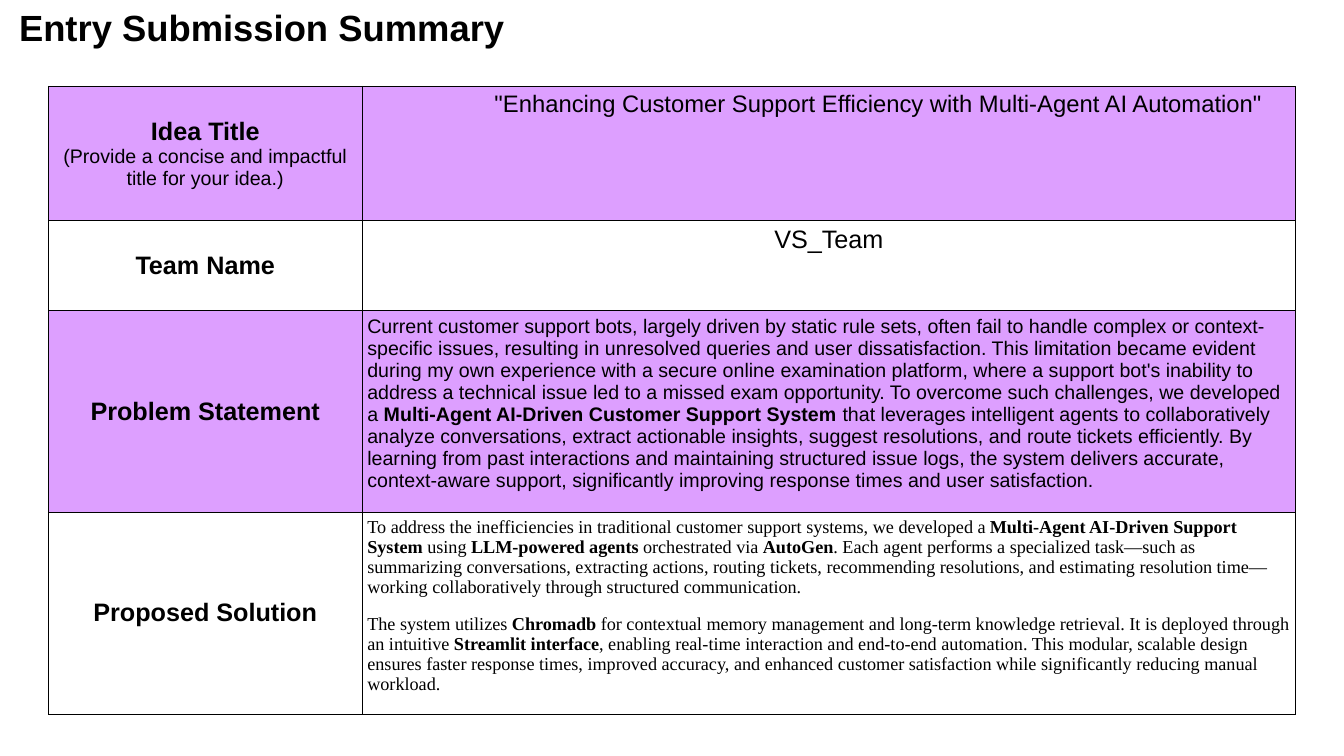
from lxml import etree
from pptx import Presentation
from pptx.dml.color import RGBColor
from pptx.enum.text import MSO_ANCHOR, MSO_AUTO_SIZE, PP_ALIGN
from pptx.oxml.ns import qn
from pptx.util import Cm, Pt

TOP, MIDDLE = MSO_ANCHOR.TOP, MSO_ANCHOR.MIDDLE
LEFT, CENTER = PP_ALIGN.LEFT, PP_ALIGN.CENTER
FIT_SHAPE = MSO_AUTO_SIZE.SHAPE_TO_FIT_TEXT
TITLE_ONLY = 5

COLORS = {"ink": "000000", "lilac": "DD9FFF", "white": "FFFFFF"}
SANS, SERIF = "Arial", "Times New Roman"
CELL_MARGIN = 0.13
BORDER_WIDTH = Pt(0.45)
COLUMN_WIDTHS = [7.91, 23.53]
ROW_HEIGHTS = [3.39, 2.27, 5.07, 5.1]

LABELS = [
    [("Idea Title", 18, True), ("\n", 18, True),
     ("(Provide a concise and impactful title for your idea.)", 14, False)],
    [("Team Name", 18, True)],
    [("Problem Statement", 18, True)],
    [("Proposed Solution", 18, True)],
]

IDEA = [("\"Enhancing Customer Support Efficiency with Multi-Agent AI Automation\"", 17, False)]
TEAM = [("VS_Team", 18, False)]
PROBLEM = [
    ("Current customer support bots, largely driven by static rule sets, often fail to handle "
     "complex or context-specific issues, resulting in unresolved queries and user "
     "dissatisfaction. This limitation became evident during my own experience with a secure "
     "online examination platform, where a support bot's inability to address a technical issue "
     "led to a missed exam opportunity. To overcome such challenges, we developed a ", 14, False),
    ("Multi-Agent AI-Driven Customer Support System", 14, True),
    (" that leverages intelligent agents to collaboratively analyze conversations, extract "
     "actionable insights, suggest resolutions, and route tickets efficiently. By learning from "
     "past interactions and maintaining structured issue logs, the system delivers accurate, "
     "context-aware support, significantly improving response times and user satisfaction.",
     14, False),
]
APPROACH = [
    ("To address the inefficiencies in traditional customer support systems, we developed a ",
     13, False),
    ("Multi-Agent AI-Driven Support System", 13, True),
    (" using ", 13, False),
    ("LLM-powered agents", 13, True),
    (" orchestrated via ", 13, False),
    ("AutoGen", 13, True),
    (". Each agent performs a specialized task—such as summarizing conversations, extracting "
     "actions, routing tickets, recommending resolutions, and estimating resolution "
     "time—working collaboratively through structured communication.", 13, False),
]
TECHNOLOGY = [
    ("The system utilizes ", 13, False),
    ("Chromadb", 13, True),
    (" for contextual memory management and long-term knowledge retrieval. It is deployed "
     "through an intuitive ", 13, False),
    ("Streamlit interface", 13, True),
    (", enabling real-time interaction and end-to-end automation. This modular, scalable design "
     "ensures faster response times, improved accuracy, and enhanced customer satisfaction while "
     "significantly reducing manual workload.", 13, False),
]

ANSWERS = [
    {"paragraphs": [IDEA], "align": CENTER, "margin_left": 2.63},
    {"paragraphs": [TEAM], "align": CENTER},
    {"paragraphs": [PROBLEM]},
    {"paragraphs": [APPROACH, TECHNOLOGY], "font": SERIF},
]


class SummarySlide:
    def __init__(self, deck):
        self.page = deck.slides.add_slide(deck.slide_layouts[TITLE_ONLY])

    def add_text(self, frame, paragraphs, align=LEFT, font=SANS):
        for index, spans in enumerate(paragraphs):
            para = frame.add_paragraph() if index else frame.paragraphs[0]
            para.alignment = align
            para.space_before = Pt(12 if index else 0)
            for text, size, bold in spans:
                if text == "\n":
                    para.add_line_break()
                    continue
                span = para.add_run()
                span.text = text
                span.font.name = font
                span.font.size = Pt(size)
                span.font.bold = bold
                span.font.color.rgb = RGBColor.from_string(COLORS["ink"])

    def title(self, text, left, top, width, height):
        box = self.page.shapes.title
        box.left, box.top, box.width, box.height = map(Cm, (left, top, width, height))
        frame = box.text_frame
        frame.margin_left = frame.margin_right = frame.margin_top = frame.margin_bottom = 0
        frame.word_wrap = True
        frame.auto_size = FIT_SHAPE
        frame.vertical_anchor = TOP
        self.add_text(frame, [[(text, 26, True)]])
        frame.paragraphs[0].line_spacing = 0.8

    def table(self, left, top):
        frame = self.page.shapes.add_table(
            len(ROW_HEIGHTS), len(COLUMN_WIDTHS), Cm(left), Cm(top),
            Cm(sum(COLUMN_WIDTHS)), Cm(sum(ROW_HEIGHTS)))
        table = frame.table
        table.first_row = table.horz_banding = False
        for column, width in zip(table.columns, COLUMN_WIDTHS):
            column.width = Cm(width)
        for row, height in zip(table.rows, ROW_HEIGHTS):
            row.height = Cm(height)
        return table

    def border(self, cell):
        properties = cell._tc.get_or_add_tcPr()
        for side in ("a:lnL", "a:lnR", "a:lnT", "a:lnB"):
            line = etree.SubElement(properties, qn(side), w=str(BORDER_WIDTH))
            fill = etree.SubElement(line, qn("a:solidFill"))
            etree.SubElement(fill, qn("a:srgbClr"), val=COLORS["ink"])

    def cell(self, cell, color, paragraphs, align=LEFT, font=SANS, anchor=TOP,
             margin_left=CELL_MARGIN):
        self.border(cell)
        cell.fill.solid()
        cell.fill.fore_color.rgb = RGBColor.from_string(COLORS[color])
        cell.margin_left = Cm(margin_left)
        cell.margin_right = cell.margin_top = cell.margin_bottom = Cm(CELL_MARGIN)
        cell.vertical_anchor = anchor
        self.add_text(cell.text_frame, paragraphs, align, font)


def main():
    deck = Presentation()
    deck.slide_width, deck.slide_height = Cm(33.88), Cm(19.05)
    slide = SummarySlide(deck)
    slide.title("Entry Submission Summary", 0.48, 0.33, 30.86, 0.89)
    table = slide.table(1.22, 2.17)
    for row, (label, answer) in enumerate(zip(LABELS, ANSWERS)):
        color = "white" if row % 2 else "lilac"
        slide.cell(table.cell(row, 0), color, [label], align=CENTER, anchor=MIDDLE)
        slide.cell(table.cell(row, 1), color, **answer)
    deck.save("out.pptx")


if __name__ == "__main__":
    main()
